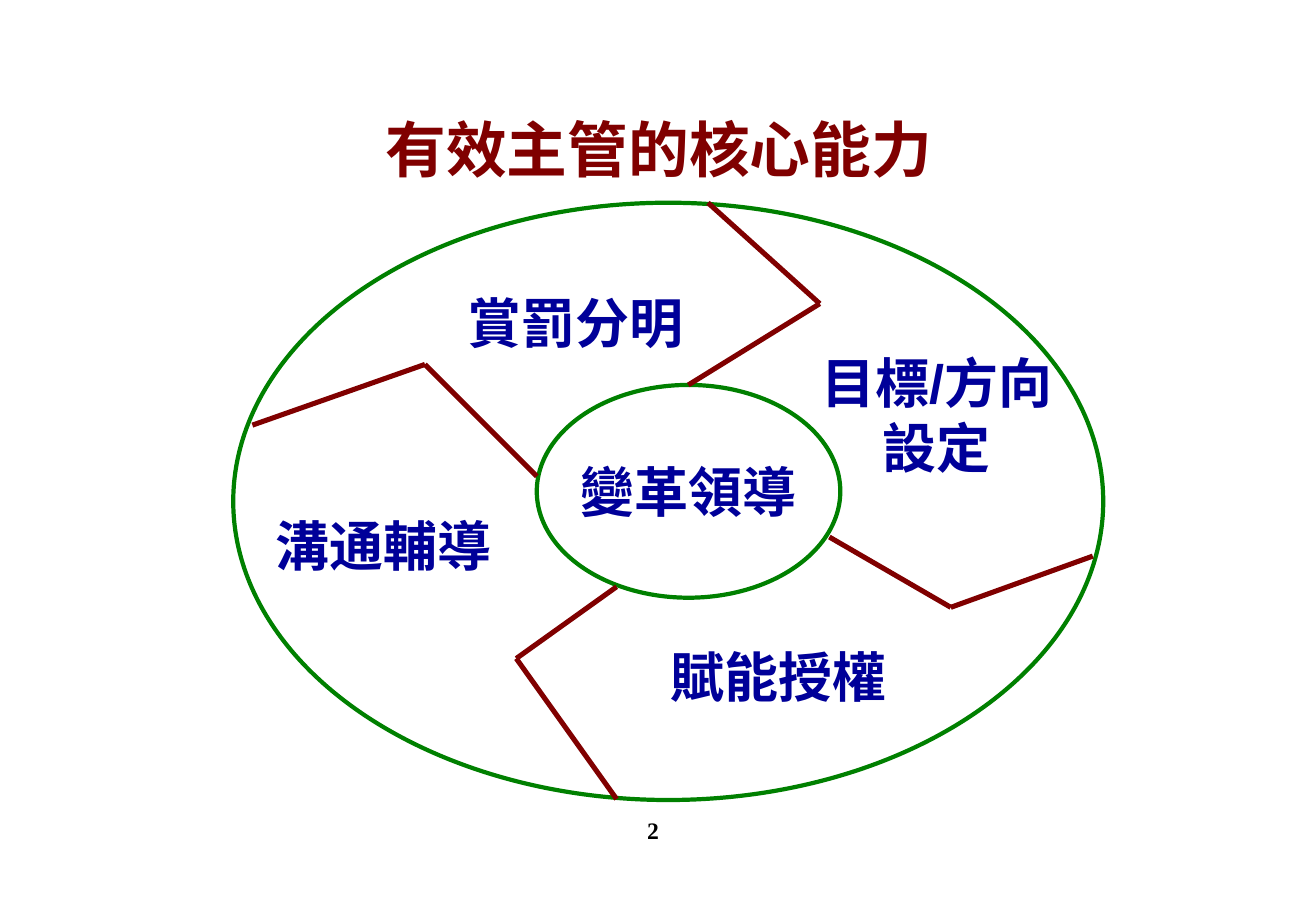
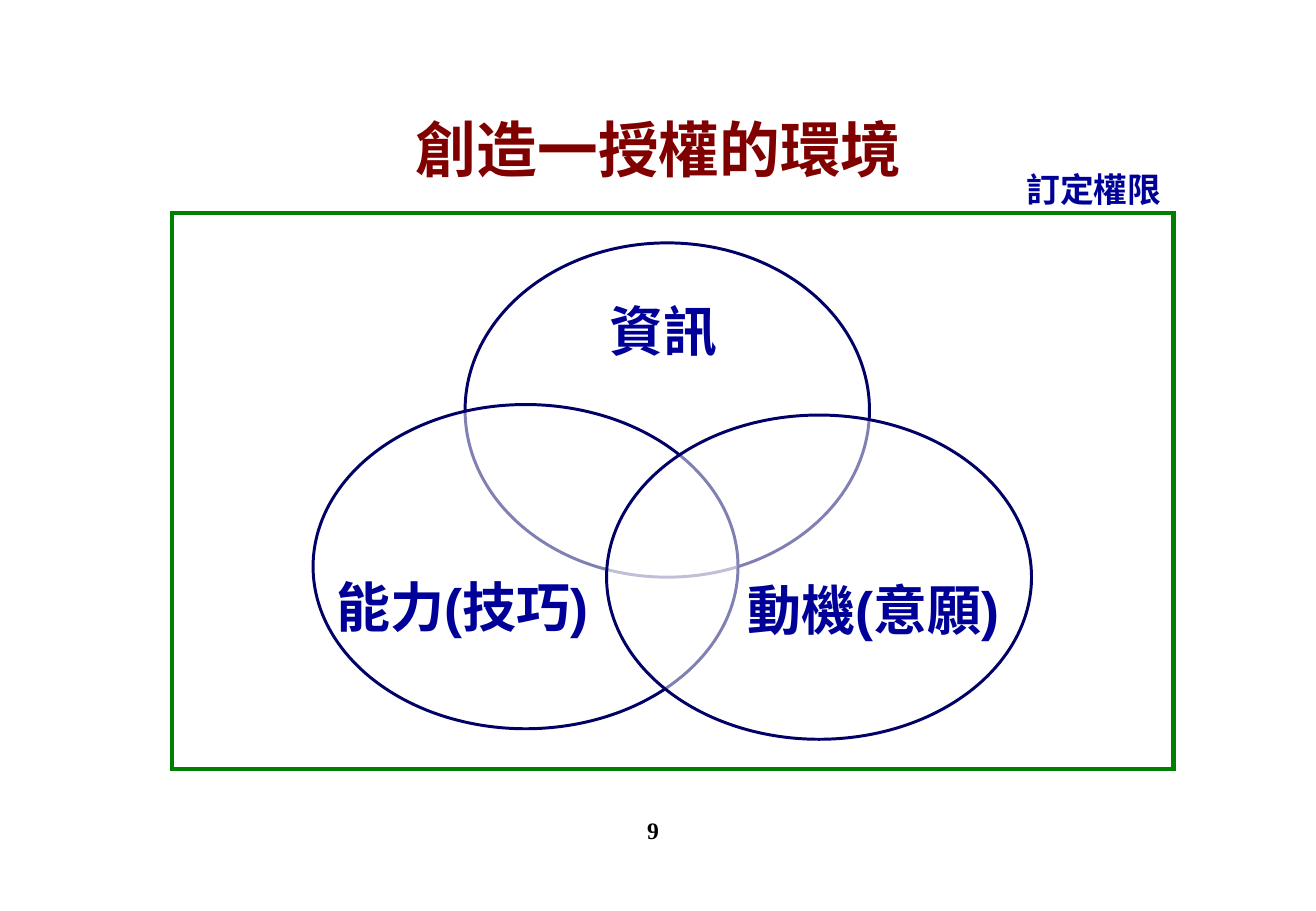
from itertools import pairwise

from lxml import etree
from pptx import Presentation
from pptx.dml.color import RGBColor
from pptx.enum.shapes import MSO_CONNECTOR, MSO_SHAPE
from pptx.enum.text import MSO_ANCHOR, MSO_AUTO_SIZE, PP_ALIGN
from pptx.oxml.ns import qn
from pptx.util import Cm, Pt

MAROON = RGBColor(0x80, 0x00, 0x00)
GREEN = RGBColor(0x00, 0x80, 0x00)
BLUE = RGBColor(0x00, 0x00, 0x99)
NAVY = RGBColor(0x00, 0x00, 0x66)
BLACK = RGBColor(0x00, 0x00, 0x00)
WHITE = RGBColor(0xFF, 0xFF, 0xFF)

TITLE_FONT = dict(name="Arial", size=Pt(36), bold=True, color=MAROON)
LABEL_FONT = dict(name="Arial", size=Pt(32), bold=True, color=BLUE)
NOTE_FONT = LABEL_FONT | dict(size=Pt(20))
NUMBER_FONT = dict(name="Times New Roman", size=Pt(14), bold=True, color=BLACK)

TITLE_BOX = (1.08, 1.5, 25.4, 3.18)
NUMBER_BOX = (10.8, 16.94, 5.72, 1.27)
LABEL_HEIGHT = 1.63


def write(frame, text, font, align=PP_ALIGN.CENTER, **frame_format):
    """Fill a text frame, one paragraph per line of text."""
    for name, value in frame_format.items():
        setattr(frame, name, value)
    frame.text = text
    for paragraph in frame.paragraphs:
        paragraph.alignment = align
        for name, value in font.items():
            if name == "color":
                paragraph.font.color.rgb = value
            else:
                setattr(paragraph.font, name, value)


def within(box, left, top, width, height):
    """Turn a place inside a box into slide lengths."""
    return Cm(box[0] + left), Cm(box[1] + top), Cm(width), Cm(height)


def add_label(slide, box, place, text, font=LABEL_FONT, align=PP_ALIGN.CENTER):
    label = slide.shapes.add_textbox(*within(box, *place))
    write(label.text_frame, text, font, align,
          word_wrap=False, auto_size=MSO_AUTO_SIZE.SHAPE_TO_FIT_TEXT)


def add_outline(slide, box, place, color, weight, kind=MSO_SHAPE.OVAL, opacity=100):
    outline = slide.shapes.add_shape(kind, *within(box, *place))
    outline.shadow.inherit = False
    outline.fill.solid()
    outline.fill.fore_color.rgb = WHITE
    outline.line.color.rgb = color
    outline.line.width = Pt(weight)
    etree.SubElement(outline.line._ln, qn("a:miter")).set("lim", "800000")
    if opacity < 100:
        tint = outline.fill._xPr.find(qn("a:solidFill")).find(qn("a:srgbClr"))
        etree.SubElement(tint, qn("a:alpha")).set("val", str(opacity * 1000))
    return outline


def add_divider(slide, box, points):
    """Draw a bent divider through the given points."""
    for start, end in pairwise(points):
        ends = [Cm(box[axis] + point[axis]) for point in (start, end) for axis in (0, 1)]
        divider = slide.shapes.add_connector(MSO_CONNECTOR.STRAIGHT, *ends)
        divider.line.color.rgb = MAROON
        divider.line.width = Pt(3)
        etree.SubElement(divider._element.spPr, qn("a:effectLst"))


def add_slide(deck, title, number):
    """Start a slide with the shared title and page number."""
    slide = deck.slides.add_slide(deck.slide_layouts[5])
    heading = slide.shapes.title
    heading.left, heading.top, heading.width, heading.height = map(Cm, TITLE_BOX)
    write(heading.text_frame, title, TITLE_FONT,
          vertical_anchor=MSO_ANCHOR.MIDDLE, auto_size=MSO_AUTO_SIZE.NONE)
    page = slide.shapes.add_textbox(*map(Cm, NUMBER_BOX))
    write(page.text_frame, str(number), NUMBER_FONT, word_wrap=True)
    return slide


def add_ability_wheel(slide, box):
    # Rim and hub
    add_outline(slide, box, (0, 0, *box[2:]), GREEN, 2.5)
    hub = add_outline(slide, box, (6.35, 3.81, 6.35, 4.45), GREEN, 2.5)
    write(hub.text_frame, "變革領導", LABEL_FONT,
          word_wrap=False, vertical_anchor=MSO_ANCHOR.MIDDLE)

    # Dividers between the four abilities
    for points in (
        [(12.47, 6.99), (15.01, 8.46), (17.98, 7.39)],
        [(8.02, 8.03), (5.92, 9.53), (8.02, 12.47)],
        [(0.4, 4.65), (4.01, 3.38), (6.35, 5.72)],
        [(9.93, 0), (12.27, 2.11), (9.52, 3.81)],
    ):
        add_divider(slide, box, points)

    # Abilities
    add_label(slide, box, (11.28, 2.94, 6.87, 2.97), "目標/方向\n設定")
    for left, top, ability in (
        (8.89, 9.1, "賦能授權"),
        (0.63, 6.35, "溝通輔導"),
        (4.65, 1.68, "賞罰分明"),
    ):
        add_label(slide, box, (left, top, 5.03, LABEL_HEIGHT), ability)


def add_empowerment_venn(slide, box):
    # Frame of authority with its caption
    add_outline(slide, box, (0, 0, *box[2:]), GREEN, 2.5, MSO_SHAPE.RECTANGLE)
    add_label(slide, box, (17.62, -1.05, 3.33, 1.12), "訂定權限", NOTE_FONT, PP_ALIGN.LEFT)

    # Overlapping conditions
    for place, opacity in (
        ((6.13, 0.63, 8.46, 6.99), 100),
        ((2.95, 4.01, 8.89, 6.78), 50),
        ((9.09, 4.23, 8.89, 6.78), 50),
    ):
        add_outline(slide, box, place, NAVY, 1.75, opacity=opacity)
    for left, top, width, condition in (
        (8.89, 1.65, 2.77, "資訊"),
        (2.29, 7.41, 7.58, "能力(技巧)"),
        (10.89, 7.48, 7.58, "動機(意願)"),
    ):
        add_label(slide, box, (left, top, width, LABEL_HEIGHT), condition)


def main():
    deck = Presentation()
    deck.slide_width, deck.slide_height = Cm(27.53), Cm(19.05)
    add_ability_wheel(add_slide(deck, "有效主管的核心能力", 2), (4.88, 4.24, 18.2, 12.49))
    add_empowerment_venn(add_slide(deck, "創造一授權的環境", 9), (3.6, 4.45, 20.95, 11.63))
    deck.save("out.pptx")


if __name__ == "__main__":
    main()
